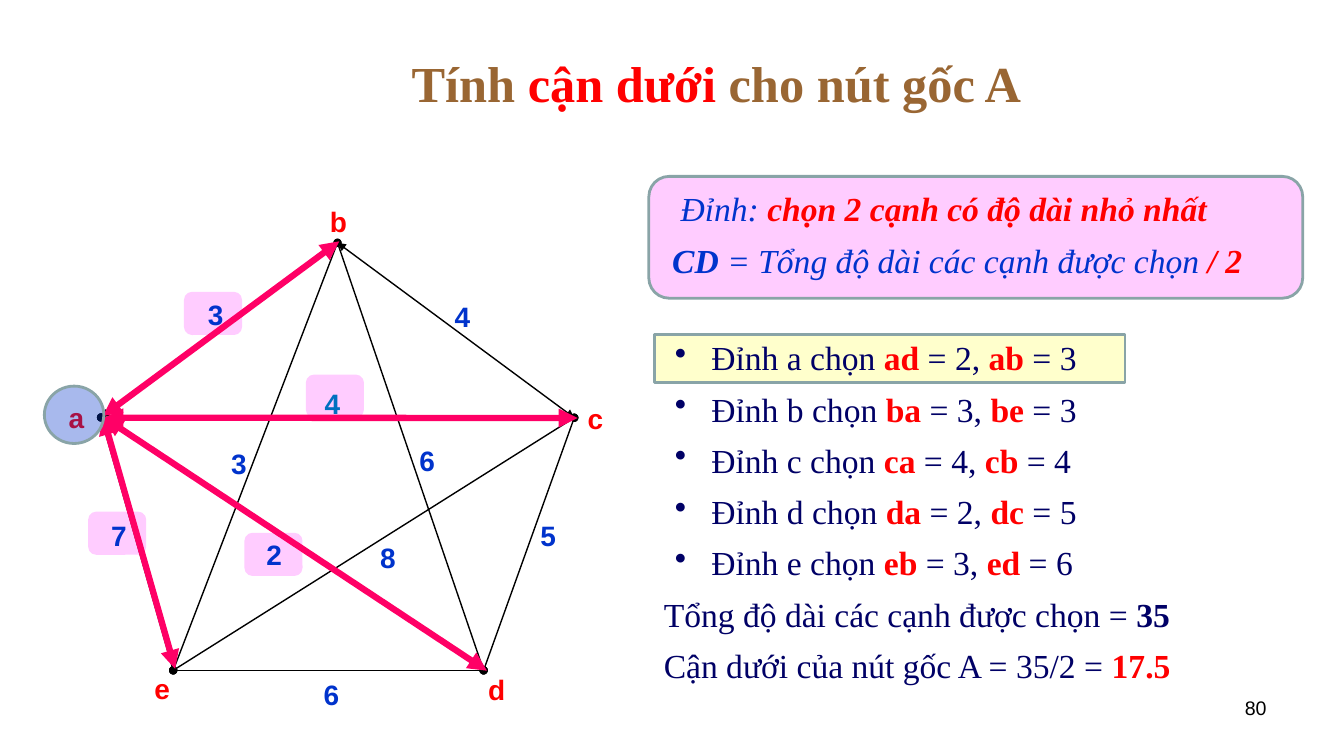
import pptx
import pptx.util
import pptx.dml.color
import pptx.enum.shapes
import pptx.enum.text
import pptx.oxml
import pptx.oxml.ns
import lxml.etree

Pt = pptx.util.Pt
SHAPE = pptx.enum.shapes.MSO_SHAPE
ALIGN = pptx.enum.text.PP_ALIGN
qn = pptx.oxml.ns.qn

COLORS = {
    "brown": "996633", "red": "FF0000", "blue": "0033CC", "teal": "0070C0",
    "navy": "000066", "black": "000000", "pink": "FFCCFF", "yellow": "FFFFCC",
    "border": "89A4A7", "edge": "FF0066",
}
RGB = {name: pptx.dml.color.RGBColor.from_string(h) for name, h in COLORS.items()}

prs = pptx.Presentation()
prs.slide_width, prs.slide_height = Pt(960.5), Pt(540)
s = prs.slides.add_slide(prs.slide_layouts[6])


def add_text(box, margins, align=ALIGN.LEFT):
    sp = s.shapes.add_textbox(*map(Pt, box))
    tf = sp.text_frame
    tf.word_wrap = True
    x, y = margins
    for side, m in {"left": x, "right": x, "top": y, "bottom": y}.items():
        setattr(tf, "margin_" + side, Pt(m))
    tf.paragraphs[0].alignment = align
    return tf


def add_runs(p, runs, name, size):
    for text, color, style in runs:
        r = p.add_run()
        r.text = text
        fmt = {"name": name, "size": Pt(size), "bold": "b" in style, "italic": "i" in style}
        for key, value in fmt.items():
            setattr(r.font, key, value)
        r.font.color.rgb = RGB[color]


panels = [
    (SHAPE.RECTANGLE, (468, 239, 336, 34.5), "yellow", "border"),
    (SHAPE.ROUNDED_RECTANGLE, (463.7, 126, 467.3, 87), "pink", "border"),
]
for x, y in [(132.5, 209.5), (64, 366.5), (175.7, 381.6), (219.6, 268.6)]:
    panels.append((SHAPE.ROUNDED_RECTANGLE, (x, y, 39.5, 28.8), "pink", "pink"))
panels.append((SHAPE.OVAL, (31.7, 275.8, 42.5, 41), "blue", "border"))

for kind, box, fill, line in panels:
    sp = s.shapes.add_shape(kind, *map(Pt, box))
    sp.shadow.inherit = False
    sp.fill.solid()
    sp.fill.fore_color.rgb = RGB[fill]
    sp.line.color.rgb = RGB[line]
    sp.line.width = Pt(2)
root_mark = sp
clr = root_mark.fill._xPr.find(qn("a:solidFill"))[0]
lxml.etree.SubElement(clr, qn("a:alpha")).set("val", "34000")

tf = add_text((116, 21.6, 792, 74), (7.2, 3.6), ALIGN.CENTER)
tf.vertical_anchor = pptx.enum.text.MSO_ANCHOR.MIDDLE
title = [("Tính ", "brown", "b"), ("cận dưới ", "red", "b"), ("cho nút gốc A", "brown", "b")]
add_runs(tf.paragraphs[0], title, "Times New Roman", 36)

choices = [("a", "ad", 2, "ab", 3), ("b", "ba", 3, "be", 3), ("c", "ca", 4, "cb", 4),
           ("d", "da", 2, "dc", 5), ("e", "eb", 3, "ed", 6)]
rows = [
    (12, False, [("Đỉnh: ", "blue", "i"), ("chọn 2 cạnh có độ dài nhỏ nhất", "red", "bi")]),
    (6, False, [("CD ", "blue", "bi"), ("= Tổng độ dài các cạnh được chọn ", "blue", "i"),
                ("/ 2", "red", "bi")]),
]
for v, e1, w1, e2, w2 in choices:
    rows.append((34, True, [(f"Ðỉnh {v} chọn ", "navy", ""), (e1, "red", "b"),
                            (f" = {w1}, ", "navy", ""), (e2, "red", "b"),
                            (f" = {w2}", "navy", "")]))
rows += [
    (0, False, [("Tổng độ dài các cạnh được chọn = ", "navy", ""), ("35", "navy", "b")]),
    (0, False, [("Cận dưới của nút gốc A = 35/2 = ", "navy", ""), ("17.5", "red", "b")]),
]

tf = add_text((467.3, 131, 467.3, 366), (7.2, 3.6))
for i, (indent, bullet, runs) in enumerate(rows):
    p = tf.paragraphs[0] if i == 0 else tf.add_paragraph()
    pPr = p._p.get_or_add_pPr()
    pPr.set("marL", str(Pt(indent)))
    if bullet:
        pPr.set("indent", str(Pt(-26)))
        bu = lxml.etree.SubElement(pPr, qn("a:buClr"))
        lxml.etree.SubElement(bu, qn("a:srgbClr")).set("val", COLORS["navy"])
        lxml.etree.SubElement(pPr, qn("a:buChar")).set("char", "•")
    if i:
        p.space_before = Pt(41 if i == 2 else 7.8)
    add_runs(p, runs, "Times New Roman", 24)

tf = add_text((688.3, 493.5, 224, 37.4), (7.2, 3.6), ALIGN.RIGHT)
add_runs(tf.paragraphs[0], [("80", "black", "")], "Arial", 14)

labels = [
    ("2", 189.4, 384, "blue"), ("8", 270.7, 386.3, "blue"), ("6", 298.8, 317, "blue"),
    ("4", 231.1, 276, "teal"), ("3", 164.2, 319.3, "blue"), ("7", 78.5, 370.4, "blue"),
    ("6", 230.4, 484.2, "blue"), ("5", 385.2, 370.4, "blue"), ("4", 324, 214.2, "blue"),
    ("3", 147.6, 212.7, "blue"), ("e", 109.4, 480, "red"), ("d", 348.5, 480.6, "red"),
    ("c", 419, 287, "red"), ("a", 48.2, 286, "red"), ("b", 235.4, 145.8, "red"),
]
for text, x, y, color in labels:
    tf = add_text((x, y, 13, 27.5), (0, 0), ALIGN.CENTER)
    add_runs(tf.paragraphs[0], [(text, color, "b")], "Arial", 20)

vertices = {"a": (72.2, 298.2), "b": (241.2, 173.4), "c": (410.4, 298.4),
            "d": (345.6, 478.8), "e": (123.8, 478.8)}
edges = [(pair, "black", 1, "triangle", 0, 0) for pair in ("ab", "cb")]
edges += [(pair, "black", 0.75 if pair == "ed" else 1, "oval", 0, 0)
          for pair in ("eb", "db", "ac", "ae", "ad", "ec", "ed", "dc")]
edges += [(pair, "edge", 4.5, "triangle", dx, dy)
          for pair, dx, dy in (("ab", 1.3, -1), ("ad", 2.4, 0.3), ("ac", 2.4, 0.2), ("ae", 1.4, -1))]

for (start, end), color, width, tip, dx, dy in edges:
    (x1, y1), (x2, y2) = vertices[start], vertices[end]
    ends = (x1 + dx, y1 + dy, x2 + dx, y2 + dy)
    sp = s.shapes.add_connector(pptx.enum.shapes.MSO_CONNECTOR.STRAIGHT, *map(Pt, ends))
    sp.line.color.rgb = RGB[color]
    sp.line.width = Pt(width)
    ln = sp.line._get_or_add_ln()
    for tag in ("a:headEnd", "a:tailEnd"):
        lxml.etree.SubElement(ln, qn(tag)).set("type", tip)
    lxml.etree.SubElement(sp._element.spPr, qn("a:effectLst"))

s.shapes._spTree.append(root_mark._element)

prs.save("out.pptx")
